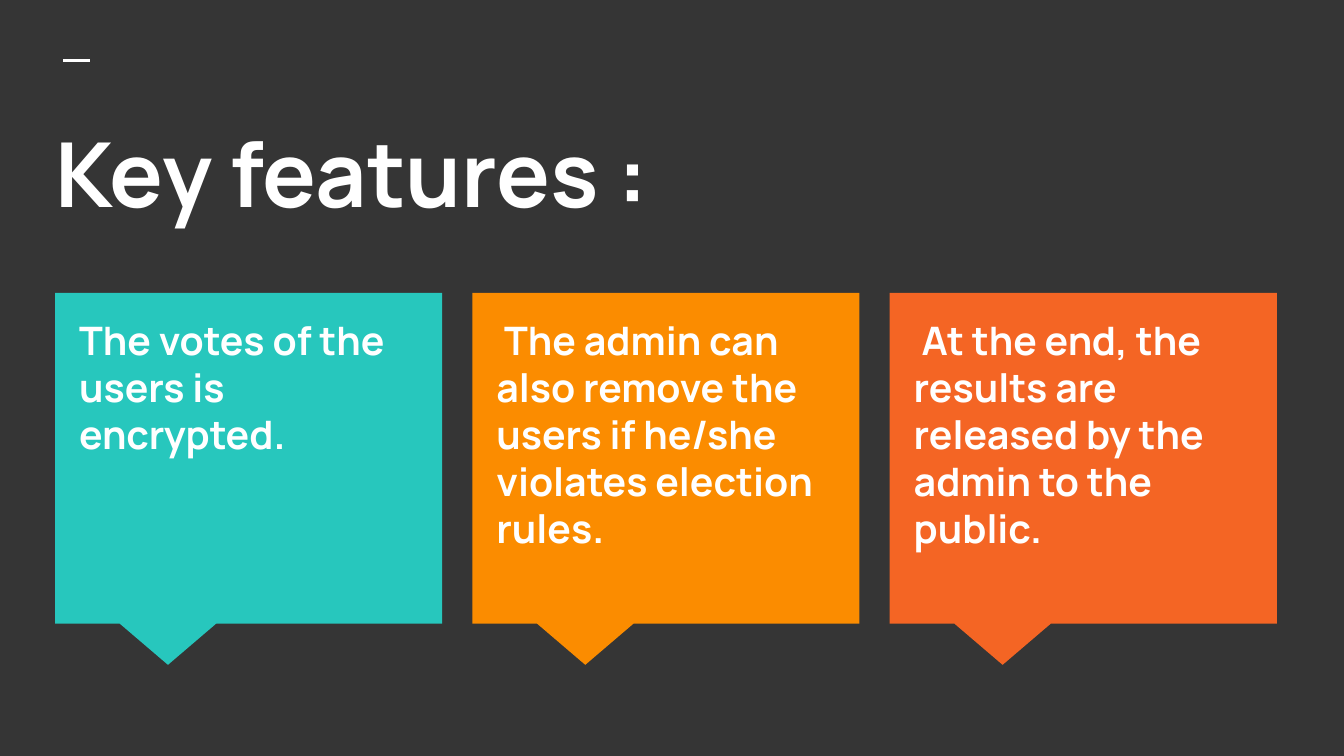
"""Build the key features slide with three callout cards."""
from pptx import Presentation
from pptx.dml.color import RGBColor
from pptx.enum.shapes import MSO_CONNECTOR, MSO_SHAPE
from pptx.enum.text import MSO_ANCHOR, MSO_AUTO_SIZE, PP_ALIGN
from pptx.oxml.ns import qn
from pptx.util import Inches, Pt

BACKGROUND = RGBColor(0x35, 0x35, 0x35)
WHITE = RGBColor(0xFF, 0xFF, 0xFF)
TEAL = RGBColor(0x27, 0xC7, 0xBD)
AMBER = RGBColor(0xFB, 0x8C, 0x00)
ORANGE = RGBColor(0xF4, 0x65, 0x24)

FRAME_FORMAT = {
    "word_wrap": True,
    "auto_size": MSO_AUTO_SIZE.NONE,
    "vertical_anchor": MSO_ANCHOR.TOP,
    "margin_left": Inches(0.1),
    "margin_top": Inches(0.1),
    "margin_right": Inches(0.1),
    "margin_bottom": Inches(0.1),
}
FEATURES = [
    (TEAL, "The votes of the users is encrypted."),
    (AMBER, " The admin can also remove the users if he/she violates election rules."),
    (ORANGE, " At the end, the results are released by the admin to the public."),
]
FIRST_LEFT, LAST_LEFT = 0.41, 6.62
CARD_PITCH = (LAST_LEFT - FIRST_LEFT) / (len(FEATURES) - 1)


def write_text(box, text, size):
    frame = box.text_frame
    for name, value in FRAME_FORMAT.items():
        setattr(frame, name, value)
    para = frame.paragraphs[0]
    para.alignment = PP_ALIGN.LEFT
    para.line_spacing = 1.0
    para.space_before = Pt(0)
    span = para.add_run()
    span.text = text
    for name, value in {"name": "Manrope", "size": Pt(size), "bold": True}.items():
        setattr(span.font, name, value)
    span.font.color.rgb = WHITE


deck = Presentation()
deck.slide_width, deck.slide_height = Inches(10), Inches(10 * 9 / 16)
page = deck.slides.add_slide(deck.slide_layouts[5])
page.background.fill.solid()
page.background.fill.fore_color.rgb = BACKGROUND

dash = page.shapes.add_connector(
    MSO_CONNECTOR.STRAIGHT, Inches(0.47), Inches(0.45), Inches(0.67), Inches(0.45)
)
dash.line.color.rgb = WHITE
dash.line.width = Pt(1.5)
dash._element.spPr.append(dash._element.makeelement(qn("a:effectLst"), {}))

title = page.shapes.title
title.left, title.top = Inches(0.31), Inches(0.78)
title.width, title.height = Inches(9.43), Inches(1.12)
write_text(title, "Key features :", 48)

for index, (color, text) in enumerate(FEATURES):
    left = FIRST_LEFT + index * CARD_PITCH
    card = page.shapes.add_shape(
        MSO_SHAPE.RECTANGULAR_CALLOUT,
        Inches(left), Inches(2.18), Inches(2.88), Inches(2.46),
    )
    card.adjustments[0], card.adjustments[1] = -5 / 24, 5 / 8
    card.shadow.inherit = False
    card.fill.solid()
    card.fill.fore_color.rgb = color
    card.line.fill.background()

    box = page.shapes.add_textbox(
        Inches(left + 0.08), Inches(2.25), Inches(2.71), Inches(2.19)
    )
    write_text(box, text, 21)

deck.save("out.pptx")
